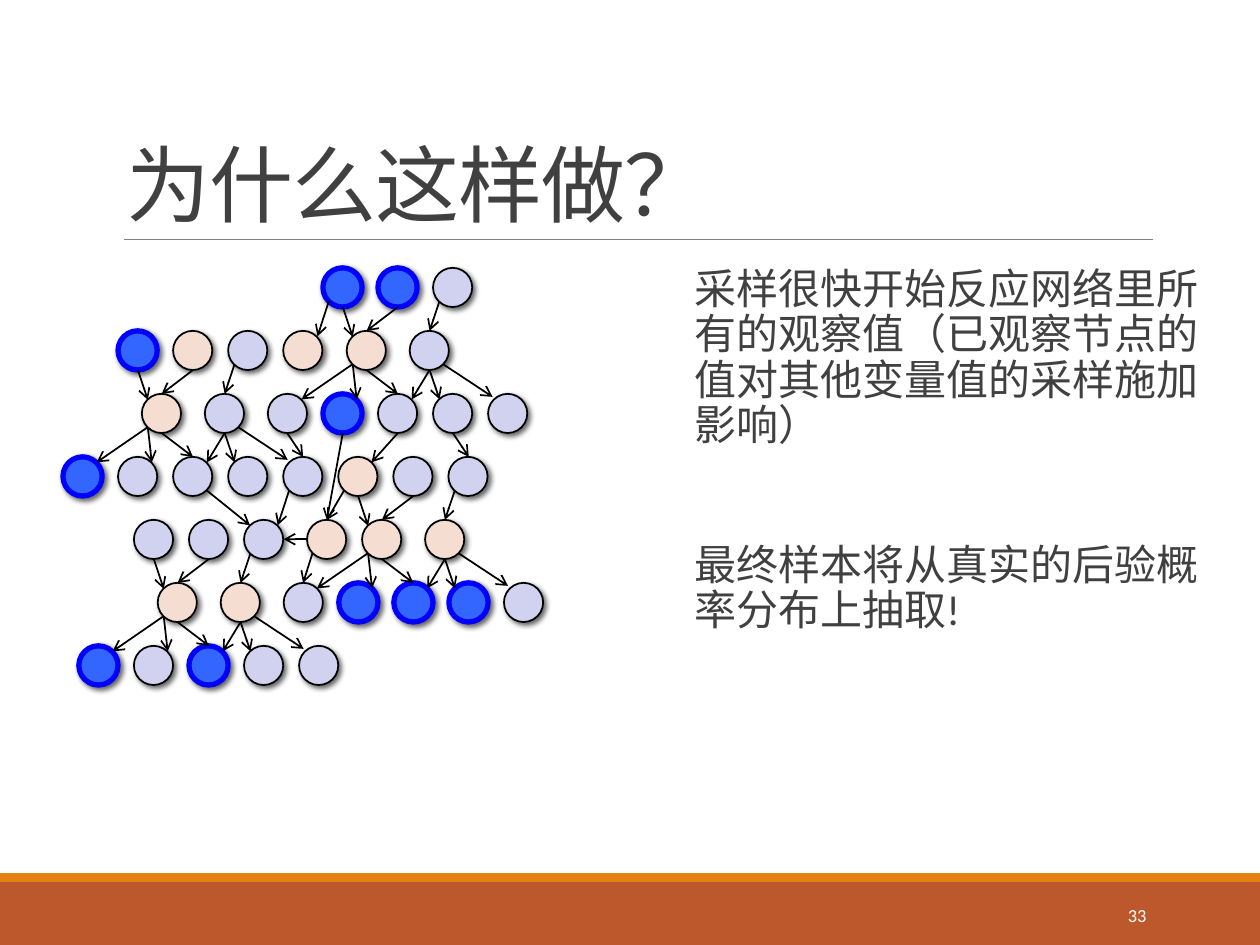
from lxml import etree
from pptx import Presentation
from pptx import util as u
from pptx.dml.color import RGBColor
from pptx.enum import shapes, text
from pptx.oxml import ns, parse_xml

RUST = RGBColor(0xBD, 0x58, 0x2C)
ORANGE = RGBColor(0xE4, 0x83, 0x12)
GRAY = RGBColor(0x80, 0x80, 0x80)
DARK = RGBColor(0x40, 0x40, 0x40)
WHITE = RGBColor(0xFF, 0xFF, 0xFF)
BLACK = RGBColor(0, 0, 0)
BLUE = RGBColor(0x33, 0x66, 0xFF)
PURE_BLUE = RGBColor(0, 0, 0xFF)
PINK = RGBColor(0xF5, 0xDD, 0xD2)
LAVENDER = RGBColor(0xD1, 0xD1, 0xF0)

NODE_STYLES = {"O": (BLUE, PURE_BLUE, 3), "P": (PINK, BLACK, 1), "L": (LAVENDER, BLACK, 1)}
NODE_SIZE, NODE_STEP = 0.79, 1.11
FIRST_ROW, ROW_STEP = 5.4, 1.27
NODE_ROWS = [
    [(6.51, "OOL")],
    [(2.38, "OPLP"), (6.99, "P"), (8.26, "L")],
    [(2.86, "P"), (4.13, "L"), (5.4, "LOLLL")],
    [(1.27, "OLLLLPLL")],
    [(2.7, "LLL"), (6.19, "PP"), (8.57, "P")],
    [(3.18, "P"), (4.45, "P"), (5.72, "LOOOL")],
    [(1.59, "OLOLL")],
]
CLUSTER_ORIGINS = [(2.78, 7.46), (6.91, 6.19), (7.22, 10), (3.1, 11.27)]
CLUSTER_ARROWS = [
    (0, 0, 0.2, 0.6), (1.11, 0, 0.48, 0.48), (1.95, -0.12, 1.75, 0.48),
    (0.2, 1.15, -0.83, 1.86), (0.2, 1.15, 0.28, 1.86), (0.48, 1.27, 1.11, 1.75),
    (1.75, 1.27, 1.95, 1.86), (2.02, 1.15, 3.02, 1.81), (1.75, 1.27, 1.39, 1.86),
]
LINK_ARROWS = [
    (6.63, 6.07, 6.4, 6.78), (5.79, 8.73, 6.11, 9.21), (8.02, 8.73, 7.49, 9.32),
    (9.13, 8.73, 9.45, 9.21), (5.83, 9.88, 5.6, 10.59), (4.16, 9.88, 5.04, 10.59),
    (6.3, 11.15, 6.11, 11.75), (6.94, 9.88, 6.59, 10.48), (6.91, 8.73, 6.59, 10.48),
    (6.19, 10.87, 5.72, 10.87),
]
NODE_SHADOW = (
    f'<a:effectLst {ns.nsdecls("a")}><a:outerShdw blurRad="38100" dist="25400" dir="2700000">'
    '<a:srgbClr val="000000"><a:alpha val="60000"/></a:srgbClr></a:outerShdw></a:effectLst>'
)


def add_line(slide, ends, color, width):
    line = slide.shapes.add_connector(shapes.MSO_CONNECTOR.STRAIGHT, *map(u.Cm, ends))
    line.line.color.rgb = color
    line.line.width = u.Pt(width)
    etree.SubElement(line._element.spPr, ns.qn("a:effectLst"))
    return line


def add_nodes(slide, kinds):
    for row, groups in enumerate(NODE_ROWS):
        for left, letters in groups:
            for column, kind in enumerate(letters):
                if kind not in kinds:
                    continue
                node = slide.shapes.add_shape(
                    shapes.MSO_SHAPE.OVAL, u.Cm(left + column * NODE_STEP),
                    u.Cm(FIRST_ROW + row * ROW_STEP), u.Cm(NODE_SIZE), u.Cm(NODE_SIZE))
                fill, outline, width = NODE_STYLES[kind]
                node.fill.solid()
                node.fill.fore_color.rgb = fill
                node.line.color.rgb = outline
                node.line.width = u.Pt(width)
                node._element.spPr.append(parse_xml(NODE_SHADOW))


presentation = Presentation()
presentation.slide_width = u.Cm(25.4)
presentation.slide_height = u.Cm(19.05)
slide = presentation.slides.add_slide(presentation.slide_layouts[5])

for top, height, color in [(17.78, 1.27, RUST), (17.6, 0.18, ORANGE)]:
    band = slide.shapes.add_shape(
        shapes.MSO_SHAPE.RECTANGLE, 0, u.Cm(top), u.Cm(25.4), u.Cm(height))
    band.shadow.inherit = False
    band.fill.solid()
    band.fill.fore_color.rgb = color
    band.line.fill.background()

add_line(slide, (2.49, 4.83, 23.24, 4.83), GRAY, 0.5)

title = slide.shapes.title
title.left, title.top, title.width, title.height = map(u.Cm, (2.29, 0.79, 20.95, 4.04))
title.text_frame.text = "为什么这样做？"
title.text_frame.auto_size = text.MSO_AUTO_SIZE.NONE
title.text_frame.vertical_anchor = text.MSO_ANCHOR.BOTTOM
paragraph = title.text_frame.paragraphs[0]
paragraph.alignment = text.PP_ALIGN.LEFT
paragraph.line_spacing = 0.85
paragraph.font.size = u.Pt(48)
paragraph.font.name = "Calibri"
paragraph.font.color.rgb = DARK
paragraph.runs[0].font._element.set("spc", "-50")

body = slide.shapes.add_textbox(u.Cm(14), u.Cm(5.28), u.Cm(10.57), u.Cm(9.86))
body.text_frame.word_wrap = True
body.text_frame.margin_left = body.text_frame.margin_right = 0
body.text_frame.text = (
    "采样很快开始反应网络里所有的观察值（已观察节点的值对其他变量值的采样施加影响）\n"
    "最终样本将从真实的后验概率分布上抽取!"
)
for paragraph, space_before in zip(body.text_frame.paragraphs, (12, 52)):
    paragraph.line_spacing = 0.9
    paragraph.space_before = u.Pt(space_before)
    paragraph.space_after = u.Pt(2)
    paragraph.font.size = u.Pt(24)
    paragraph.font.name = "Calibri"
    paragraph.font.color.rgb = DARK

number = slide.shapes.add_textbox(u.Cm(20.62), u.Cm(17.93), u.Cm(2.74), u.Cm(1.02))
number.text_frame.word_wrap = True
number.text_frame.vertical_anchor = text.MSO_ANCHOR.MIDDLE
number.text_frame.text = "33"
paragraph = number.text_frame.paragraphs[0]
paragraph.alignment = text.PP_ALIGN.RIGHT
paragraph.font.size = u.Pt(10.5)
paragraph.font.name = "Calibri"
paragraph.font.color.rgb = WHITE

add_nodes(slide, "O")

cluster_arrows = [
    (x + x1, y + y1, x + x2, y + y2)
    for x, y in CLUSTER_ORIGINS for x1, y1, x2, y2 in CLUSTER_ARROWS
]
for ends in cluster_arrows + LINK_ARROWS:
    arrow = add_line(slide, ends, BLACK, 1)
    etree.SubElement(arrow.line._get_or_add_ln(), ns.qn("a:tailEnd"), type="arrow")

add_nodes(slide, "PL")

presentation.save("out.pptx")
